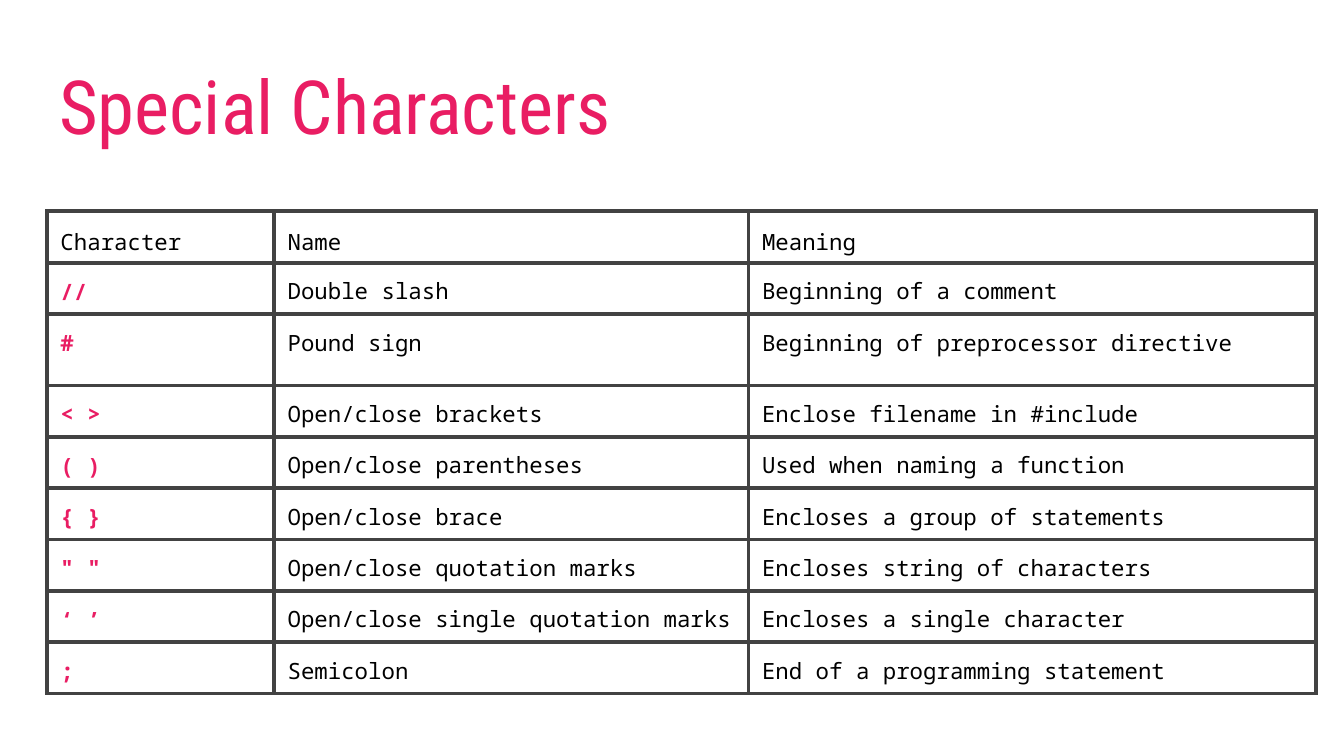
from lxml import etree
from pptx import Presentation
from pptx.dml.color import RGBColor
from pptx.enum.text import MSO_ANCHOR, MSO_AUTO_SIZE, PP_ALIGN
from pptx.oxml.ns import qn
from pptx.util import Inches, Pt

LEFT = PP_ALIGN.LEFT
TOP, BOTTOM = MSO_ANCHOR.TOP, MSO_ANCHOR.BOTTOM
NO_AUTOFIT = MSO_AUTO_SIZE.NONE
TITLE_ONLY_LAYOUT = 5

# 16:9 slide
SLIDE_WIDTH = 10
SLIDE_HEIGHT = SLIDE_WIDTH * 9 / 16

COLORS = {"accent": "E91D63", "text": "000000", "border": "424242", "background": "FFFFFF"}
TITLE_FONT, TABLE_FONT = "Roboto Condensed", "Noto Sans Mono"

HEADERS = ("Character", "Name", "Meaning")
CHARACTERS = [
    ("//", "Double slash", "Beginning of a comment"),
    ("#", "Pound sign", "Beginning of preprocessor directive"),
    ("< >", "Open/close brackets", "Enclose filename in #include"),
    ("( )", "Open/close parentheses", "Used when naming a function"),
    ("{ }", "Open/close brace", "Encloses a group of statements"),
    ('" "', "Open/close quotation marks", "Encloses string of characters"),
    ("‘ ’", "Open/close single quotation marks", "Encloses a single character"),
    (";", "Semicolon", "End of a programming statement"),
]
COLUMN_WIDTHS = (1.69, 3.53, 4.22)
# The header and all but one of the character rows share the same height
ROW_HEIGHT = 3.06 / len(CHARACTERS)
TALL_ROW_HEIGHT, TALL_ROW = 0.53, 2


def write_text(frame, text, *, font, size, color="text", bold=False, spacing=1.0):
    paragraph = frame.paragraphs[0]
    paragraph.alignment = LEFT
    paragraph.line_spacing = spacing
    run = paragraph.add_run()
    run.text = text
    run.font.name = font
    run.font.size = Pt(size)
    run.font.bold = bold
    run.font.color.rgb = RGBColor.from_string(COLORS[color])


def set_margins(target, left, top, right, bottom):
    target.margin_left, target.margin_top = Inches(left), Inches(top)
    target.margin_right, target.margin_bottom = Inches(right), Inches(bottom)


def add_borders(cell, color, width):
    properties = cell._tc.get_or_add_tcPr()
    for side in ("lnL", "lnR", "lnT", "lnB"):
        line = etree.SubElement(properties, qn(f"a:{side}"), w=str(Pt(width)))
        fill = etree.SubElement(line, qn("a:solidFill"))
        etree.SubElement(fill, qn("a:srgbClr"), val=COLORS[color])


def place_title(slide, text, left, top, width, height):
    title = slide.shapes.title
    title.left, title.top = Inches(left), Inches(top)
    title.width, title.height = Inches(width), Inches(height)
    frame = title.text_frame
    frame.auto_size = NO_AUTOFIT
    frame.word_wrap = True
    frame.vertical_anchor = BOTTOM
    set_margins(frame, 0.1, 0.1, 0.1, 0.1)
    write_text(frame, text, font=TITLE_FONT, size=40, color="accent")


def format_cell(cell, text, is_header, is_symbol):
    top_margin = 0.14 if is_header else 0.13 if is_symbol else 0.12
    set_margins(cell, 0.1, top_margin, 0.1, 0.05)
    cell.vertical_anchor = TOP
    add_borders(cell, "border", 2.25)
    cell.fill.background()
    write_text(cell.text_frame, text, font=TABLE_FONT, size=12,
               color="accent" if is_symbol else "text", bold=is_symbol,
               spacing=0.82 if is_symbol else 0.86)


def place_character_table(slide, left, top):
    rows = [HEADERS, *CHARACTERS]
    heights = [TALL_ROW_HEIGHT if index == TALL_ROW else ROW_HEIGHT for index in range(len(rows))]
    table = slide.shapes.add_table(
        len(rows), len(HEADERS), Inches(left), Inches(top),
        Inches(sum(COLUMN_WIDTHS)), Inches(sum(heights))).table
    table.horz_banding = False
    for column, width in zip(table.columns, COLUMN_WIDTHS):
        column.width = Inches(width)
    for row_index, texts in enumerate(rows):
        table.rows[row_index].height = Inches(heights[row_index])
        is_header = row_index == 0
        for column_index, text in enumerate(texts):
            is_symbol = column_index == 0 and not is_header
            format_cell(table.cell(row_index, column_index), text, is_header, is_symbol)


def main():
    presentation = Presentation()
    presentation.slide_width = Inches(SLIDE_WIDTH)
    presentation.slide_height = Inches(SLIDE_HEIGHT)
    slide = presentation.slides.add_slide(presentation.slide_layouts[TITLE_ONLY_LAYOUT])
    background = slide.background.fill
    background.solid()
    background.fore_color.rgb = RGBColor.from_string(COLORS["background"])

    # Title
    place_title(slide, "Special Characters", 0.34, 0.41, 9.32, 0.8)
    # Table of characters
    place_character_table(slide, 0.35, 1.57)

    presentation.save("out.pptx")


if __name__ == "__main__":
    main()
